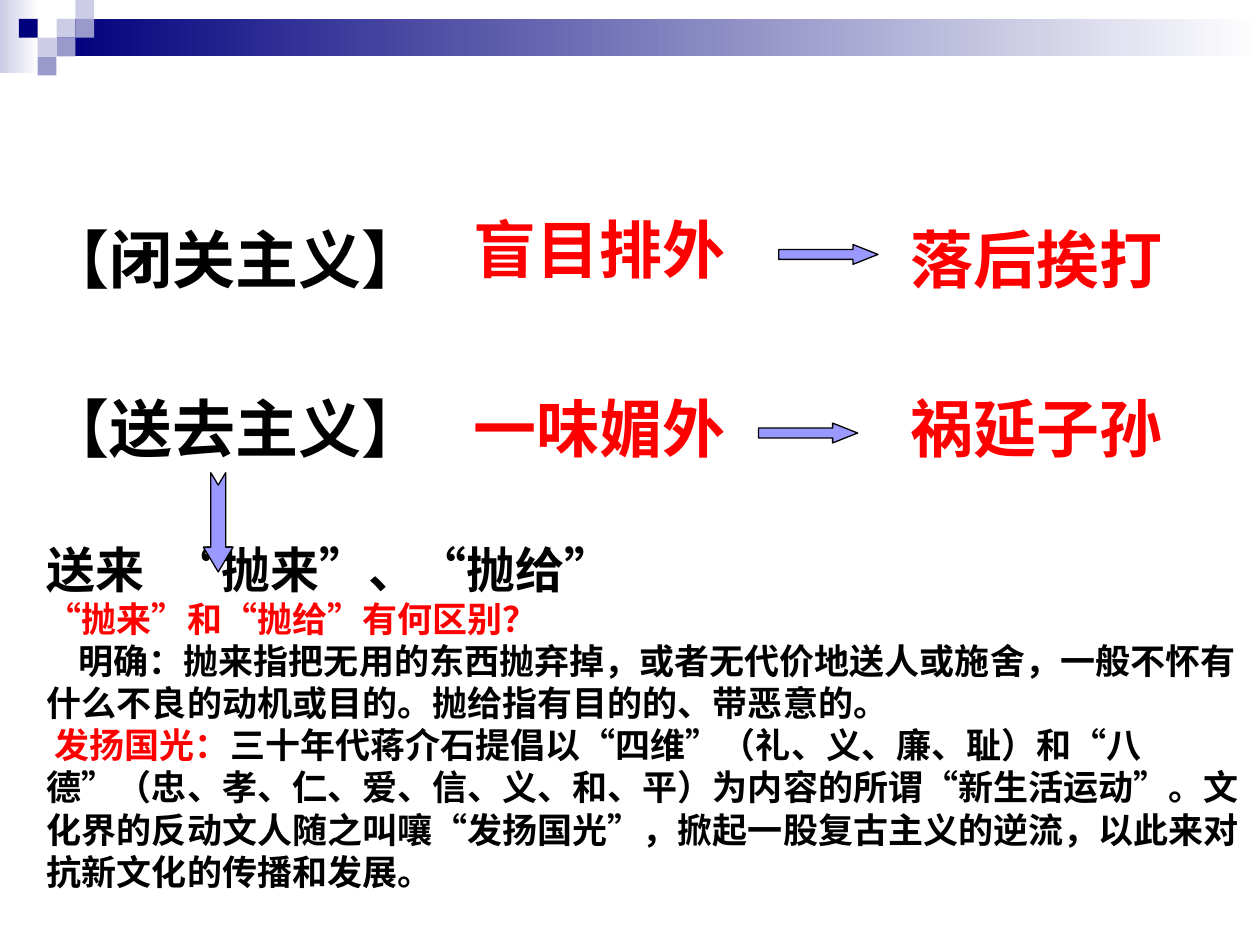
import pptx
import pptx.dml.color
import pptx.enum.shapes
import pptx.enum.text
import pptx.util
from lxml import etree

Cm = pptx.util.Cm
Pt = pptx.util.Pt
SHAPES = pptx.enum.shapes.MSO_SHAPE
ANCHORS = pptx.enum.text.MSO_ANCHOR
DRAWING = "{http://schemas.openxmlformats.org/drawingml/2006/main}"

COLORS = {
    "navy": "00007D",
    "mid": "9999CC",
    "pale": "CCCCE6",
    "arrow": "9999FF",
    "white": "FFFFFF",
    "black": "000000",
    "red": "FF0000",
}


def color_of(name):
    return pptx.dml.color.RGBColor.from_string(COLORS[name])


def add_span(para, text, size=20, color="black", latin="Arial", east="Noto Sans CJK SC"):
    span = para.add_run()
    span.text = text
    span.font.size = Pt(size)
    span.font.bold = True
    span.font.name = latin
    span.font.color.rgb = color_of(color)
    properties = span.font._element
    etree.SubElement(properties, DRAWING + "ea", typeface=east)
    return span


class SlideBuilder:
    def __init__(self, page):
        self.page = page

    def place(self, box, left, top, width, height):
        box.left, box.top = Cm(left), Cm(top)
        box.width, box.height = Cm(width), Cm(height)

    def frame(self, box, anchor):
        frame = box.text_frame
        frame.word_wrap = True
        frame.auto_size = pptx.enum.text.MSO_AUTO_SIZE.NONE
        frame.vertical_anchor = anchor
        return frame

    def rectangle(self, left, top, width, height, color, fade=False):
        box = self.page.shapes.add_shape(
            SHAPES.RECTANGLE, Cm(left), Cm(top), Cm(width), Cm(height))
        box.shadow.inherit = False
        box.line.fill.background()
        if fade:
            box.fill.gradient()
            box.fill.gradient_angle = 0
            for stop, name in zip(box.fill.gradient_stops, (color, "white")):
                stop.color.rgb = color_of(name)
        else:
            box.fill.solid()
            box.fill.fore_color.rgb = color_of(color)

    def style_arrow(self, arrow):
        arrow.shadow.inherit = False
        arrow.fill.solid()
        arrow.fill.fore_color.rgb = color_of("arrow")
        arrow.line.color.rgb = color_of("black")
        arrow.line.width = Pt(0.75)

    def right_arrow(self, left, top):
        arrow = self.page.shapes.add_shape(
            SHAPES.RIGHT_ARROW, Cm(left), Cm(top), Cm(2), Cm(0.4))
        arrow.adjustments[1] = 1.26
        self.style_arrow(arrow)

    def notched_down_arrow(self, center, top):
        outline = [(0.15, 0), (0.15, 1.5), (0.3, 1.5), (0, 2), (-0.3, 1.5),
                   (-0.15, 1.5), (-0.15, 0), (0, 0.25)]
        points = [(Cm(center + x), Cm(top + y)) for x, y in outline]
        builder = self.page.shapes.build_freeform(*points[0])
        builder.add_line_segments(points[1:], close=True)
        self.style_arrow(builder.convert_to_shape())

    def title(self, text, *area):
        box = self.page.shapes.title
        self.place(box, *area)
        para = self.frame(box, ANCHORS.MIDDLE).paragraphs[0]
        para.alignment = pptx.enum.text.PP_ALIGN.LEFT
        add_span(para, text, size=36)

    def label(self, text, left, top, width, **style):
        box = self.page.shapes.add_textbox(Cm(left), Cm(top), Cm(width), Cm(1.78))
        para = self.frame(box, ANCHORS.TOP).paragraphs[0]
        add_span(para, text, size=36, **style)

    def body(self, paragraphs, *area):
        box = self.page.placeholders[1]
        self.place(box, *area)
        frame = self.frame(box, ANCHORS.MIDDLE)
        for number, (indent, tab, spans) in enumerate(paragraphs):
            para = frame.add_paragraph() if number else frame.paragraphs[0]
            para.space_before = Pt(0)
            properties = para._p.get_or_add_pPr()
            properties.set("marL", "0")
            properties.set("indent", str(Cm(indent)))
            etree.SubElement(properties, DRAWING + "buNone")
            if tab:
                tabs = etree.SubElement(properties, DRAWING + "tabLst")
                etree.SubElement(tabs, DRAWING + "tab", pos=str(Cm(tab)), algn="l")
            for text, style in spans:
                add_span(para, text, **style)


def main():
    deck = pptx.Presentation()
    deck.slide_width, deck.slide_height = Cm(25.4), Cm(19.05)
    page = deck.slides.add_slide(deck.slide_layouts[1])
    slide = SlideBuilder(page)

    # Header band with a mosaic of squares
    unit = 0.38
    slide.rectangle(0, 0, 0.79, 1.47, "pale", fade=True)
    slide.rectangle(3 * unit, unit, 25.4 - 3 * unit, 2 * unit, "navy", fade=True)
    mosaic = [(3, 1, "pale"), (4, 0, "pale"), (4, 1, "mid"), (2, 2, "pale"),
              (1, 1, "navy"), (3, 2, "mid"), (2, 3, "mid")]
    for column, row, color in mosaic:
        slide.rectangle(column * unit, row * unit, unit, unit, color)

    # Two attitudes, each with its behaviour and its outcome
    first, second, third = 0.69, 9.3, 18.11
    lower = 7.72
    slide.title("【闭关主义】", first, 4.11, 10.8, 2.21)
    slide.label("盲目排外", second, 4.11, 6, color="red")
    slide.label("落后挨打", third, 4.32, 6.4, color="red")
    slide.label("【送去主义】", first, lower, 8.81)
    for text, left, width in [("一味媚外", second, 7.39), ("祸延子孙", third, 6.4)]:
        slide.label(text, left, lower, width, color="red", latin="Noto Sans CJK SC")

    # Explanation
    red = {"color": "red"}
    slide.body([
        (0, 3.08, [("送来\t“抛来”、“抛给”", {"size": 28})]),
        (0, None, [("“抛来”和“抛给”有何区别？", red)]),
        (0.64, None, [("明确：抛来指把无用的东西抛弃掉，或者无代价地送人或施舍，"
                       "一般不怀有什么不良的动机或目的。抛给指有目的的、带恶意的。", {})]),
        (0.16, None, [("发扬国光：", red),
                      ("三十年代蒋介石提倡以“四维”（礼、义、廉、耻）和“八德”"
                       "（忠、孝、仁、爱、信、义、和、平）为内容的所谓“新生活运动”。"
                       "文化界的反动文人随之叫嚷“发扬国光”，掀起一股复古主义的逆流，"
                       "以此来对抗新文化的传播和发展。", {})]),
    ], first, 10.92, 24.71, 7.01)

    # Arrows
    slide.right_arrow(15.7, 4.93)
    slide.right_arrow(15.29, 8.53)
    slide.notched_down_arrow(4.4, 9.53)

    deck.save("out.pptx")


if __name__ == "__main__":
    main()
